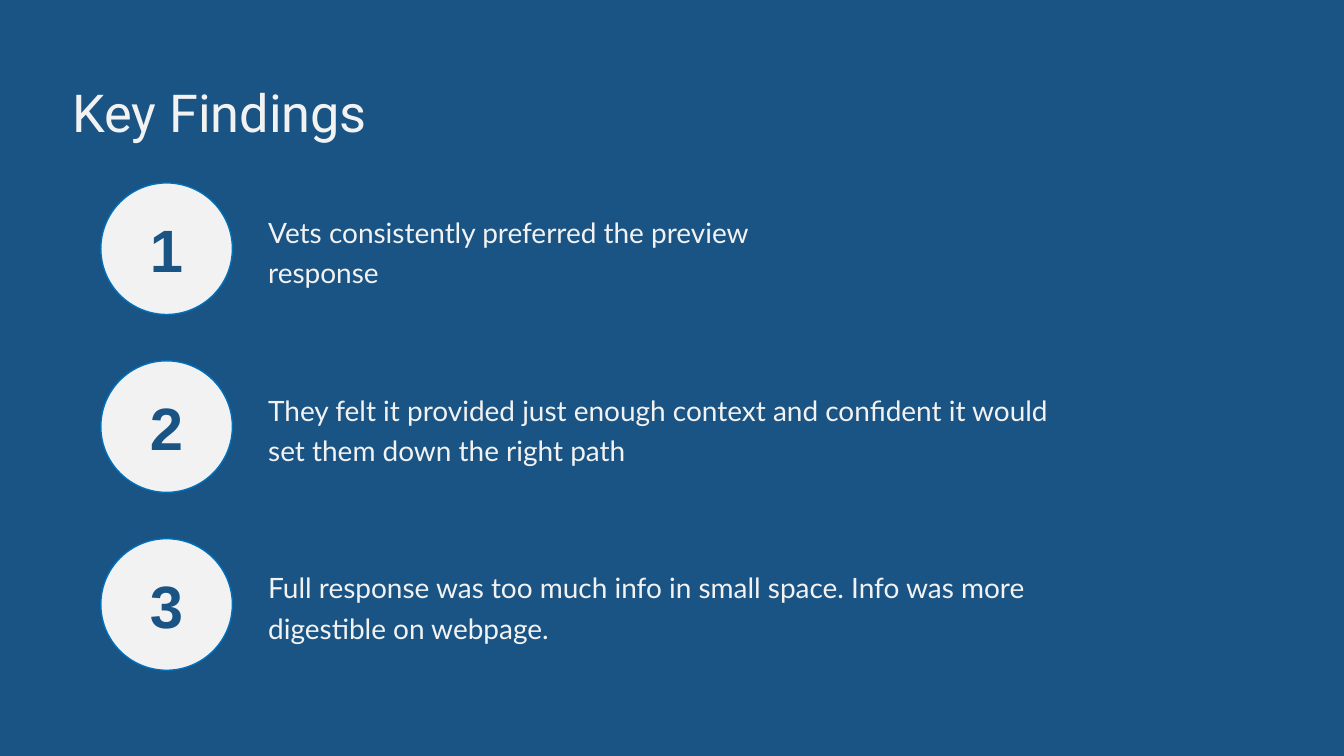
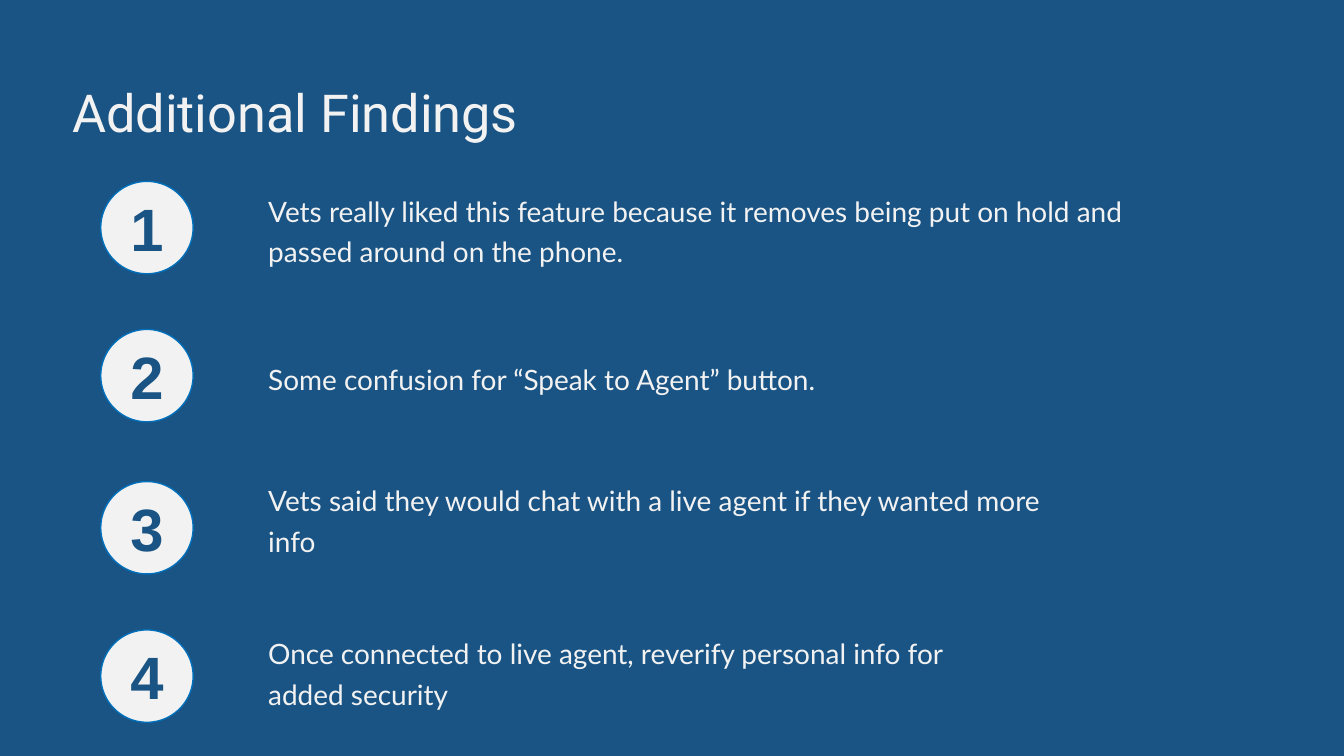
from pptx import Presentation
from pptx.dml.color import RGBColor
from pptx.enum import shapes, text
from pptx.util import Pt

# Shared colours and measures
NAVY = RGBColor(0x1A, 0x54, 0x84)
PALE = RGBColor(0xF2, 0xF2, 0xF2)
RIM = RGBColor(0x00, 0x70, 0xBC)
DOT_X, TEXT_X, TEXT_H = 54, 141, 70.5

# Title, circle size, then per finding: circle top, text top, text width, wording
DECK = [
    ("Key Findings", 70.5, [
        (98, 98, 312, "Vets consistently preferred the preview response"),
        (193.3, 193.3, 442, "They felt it provided just enough context and confident "
         "it would set them down the right path"),
        (288.6, 288.6, 442, "Full response was too much info in small space. "
         "Info was more digestible on webpage."),
    ]),
    ("Additional Findings", 49.5, [
        (97.2, 87, 489, "Vets really liked this feature because it removes being "
         "put on hold and passed around on the phone."),
        (176.5, 166.3, 489, "Some confusion for “Speak to Agent” button."),
        (258, 242, 442, "Vets said they would chat with a live agent "
         "if they wanted more info"),
        (337.5, 324, 378, "Once connected to live agent, reverify personal info "
         "for added security"),
    ]),
]


def place(shape, x, y, w, h):
    shape.left, shape.top, shape.width, shape.height = Pt(x), Pt(y), Pt(w), Pt(h)


def write(shape, words, face, size, color, inset, anchor, align):
    frame = shape.text_frame
    frame.text = words
    frame.word_wrap = True
    frame.auto_size = text.MSO_AUTO_SIZE.NONE
    frame.vertical_anchor = anchor
    frame.margin_left = frame.margin_right = Pt(inset)
    frame.margin_top = frame.margin_bottom = Pt(inset)
    para = frame.paragraphs[0]
    para.alignment = align
    para.font.name = face
    para.font.size = Pt(size)
    para.font.color.rgb = color
    return para


TOP, MID = text.MSO_ANCHOR.TOP, text.MSO_ANCHOR.MIDDLE
LEFT, CENTER = text.PP_ALIGN.LEFT, text.PP_ALIGN.CENTER

prs = Presentation()
prs.slide_width, prs.slide_height = Pt(720), Pt(405)
fill = prs.slide_master.background.fill
fill.solid()
fill.fore_color.rgb = NAVY

for head, size, items in DECK:
    # Title
    slide = prs.slides.add_slide(prs.slide_layouts[5])
    title = slide.shapes.title
    place(title, 36, 40.5, 594, 49.5)
    write(title, head, "Roboto", 28, PALE, 2.7, TOP, LEFT)

    for num, (dot_y, text_y, width, words) in enumerate(items, 1):
        # Finding
        box = slide.shapes.add_textbox(Pt(TEXT_X), Pt(text_y), Pt(width), Pt(TEXT_H))
        para = write(box, words, "Lato", 15, PALE, 2.7, MID, LEFT)
        para.line_spacing = 1.2

        # Numbered circle
        dot = slide.shapes.add_shape(shapes.MSO_SHAPE.OVAL, Pt(DOT_X), Pt(dot_y),
                                     Pt(size), Pt(size))
        dot.shadow.inherit = False
        dot.fill.solid()
        dot.fill.fore_color.rgb = PALE
        dot.line.color.rgb = RIM
        dot.line.width = Pt(0.75)
        para = write(dot, str(num), "Arial", 32, NAVY, 7.2, MID, CENTER)
        para.font.bold = True

prs.save("out.pptx")
